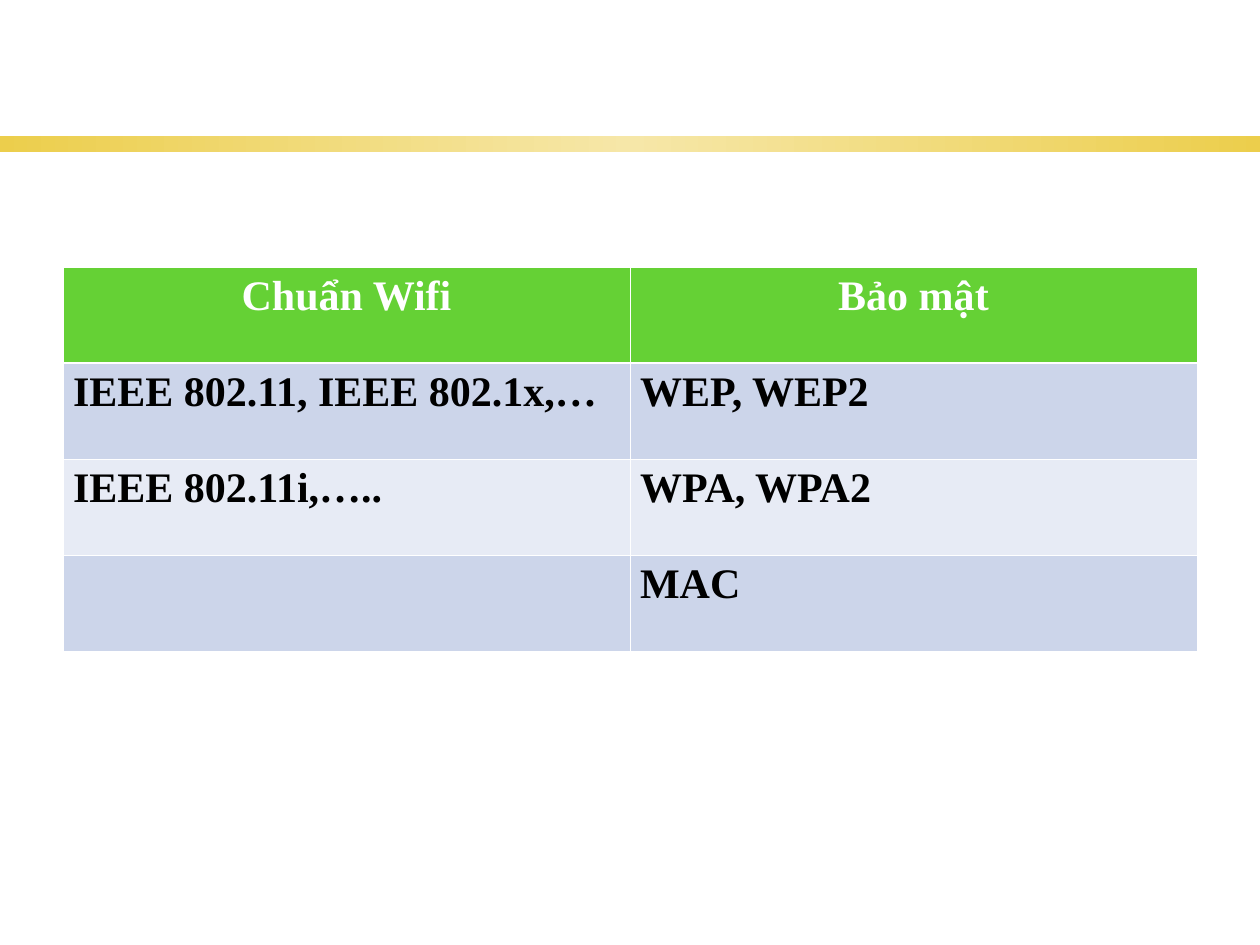
import dataclasses

import lxml.etree
import pptx
import pptx.dml.color
import pptx.enum.shapes
import pptx.enum.text
import pptx.oxml.ns
import pptx.util

Inches, Pt = pptx.util.Inches, pptx.util.Pt
RGBColor = pptx.dml.color.RGBColor
Align = pptx.enum.text.PP_ALIGN
qn = pptx.oxml.ns.qn

WHITE = RGBColor(0xFF, 0xFF, 0xFF)
BLACK = RGBColor(0x00, 0x00, 0x00)
GREEN = RGBColor(0x65, 0xD1, 0x35)
BLUE = RGBColor(0xCC, 0xD5, 0xEA)
PALE = RGBColor(0xE7, 0xEB, 0xF5)
GOLD = RGBColor(0xEC, 0xCE, 0x4C)
CREAM = RGBColor(0xF6, 0xE7, 0xA8)
FONT = "Times New Roman"
THIN, THICK = 0.45, 1.47


@dataclasses.dataclass
class Row:
    texts: tuple[str, str]
    fill: RGBColor
    ink: RGBColor = BLACK
    align: Align = Align.JUSTIFY
    top: float = THIN
    base: float = THIN


ROWS = [
    Row(("Chuẩn Wifi", "Bảo mật"), GREEN, WHITE, Align.CENTER, base=THICK),
    Row(("IEEE 802.11, IEEE 802.1x,…", "WEP, WEP2"), BLUE, top=THICK),
    Row(("IEEE 802.11i,…..", "WPA, WPA2"), PALE),
    Row(("", "MAC"), BLUE),
]


def add_color(parent, color: RGBColor) -> None:
    lxml.etree.SubElement(parent, qn("a:srgbClr"), val=str(color))


def draw_band(slide) -> None:
    band = slide.shapes.add_shape(
        pptx.enum.shapes.MSO_SHAPE.RECTANGLE,
        Inches(0), Inches(1.08), Inches(10), Inches(0.13))
    band.shadow.inherit = False
    band.line.fill.background()
    band.fill.gradient()
    band.fill.gradient_angle = 0
    # Three stops: gold at both ends, cream in the middle
    stops = band.fill._fill._gradFill.find(qn("a:gsLst"))
    for stop in list(stops):
        stops.remove(stop)
    for place, color in ((0, GOLD), (50, CREAM), (100, GOLD)):
        stop = lxml.etree.SubElement(stops, qn("a:gs"), pos=str(place * 1000))
        add_color(stop, color)


def set_edges(cell, row: Row) -> None:
    props = cell._tc.get_or_add_tcPr()
    edges = (("L", THIN), ("R", THIN), ("T", row.top), ("B", row.base))
    for spot, (side, width) in enumerate(edges):
        line = lxml.etree.Element(qn(f"a:ln{side}"), w=str(Pt(width)))
        add_color(lxml.etree.SubElement(line, qn("a:solidFill")), WHITE)
        props.insert(spot, line)


def fill_cell(cell, text: str, row: Row) -> None:
    cell.fill.solid()
    cell.fill.fore_color.rgb = row.fill
    cell.margin_left = cell.margin_right = Inches(0.08)
    cell.margin_top = cell.margin_bottom = Inches(0.05)
    set_edges(cell, row)
    cell.text = text
    para = cell.text_frame.paragraphs[0]
    para.alignment = row.align
    font = para.font
    font.name, font.size, font.bold = FONT, Pt(24), True
    font.color.rgb = row.ink


def draw_table(slide, rows: list[Row]) -> None:
    table = slide.shapes.add_table(
        len(rows), 2, Inches(0.5), Inches(2.12), Inches(9), Inches(3.05)).table
    for line, row in zip(table.rows, rows):
        for cell, text in zip(line.cells, row.texts):
            fill_cell(cell, text, row)


def main() -> None:
    deck = pptx.Presentation()
    deck.slide_width, deck.slide_height = Inches(10), Inches(7.5)
    # The slide has no title, so the blank layout serves
    slide = deck.slides.add_slide(deck.slide_layouts[6])
    draw_band(slide)
    draw_table(slide, ROWS)
    deck.save("out.pptx")


if __name__ == "__main__":
    main()
